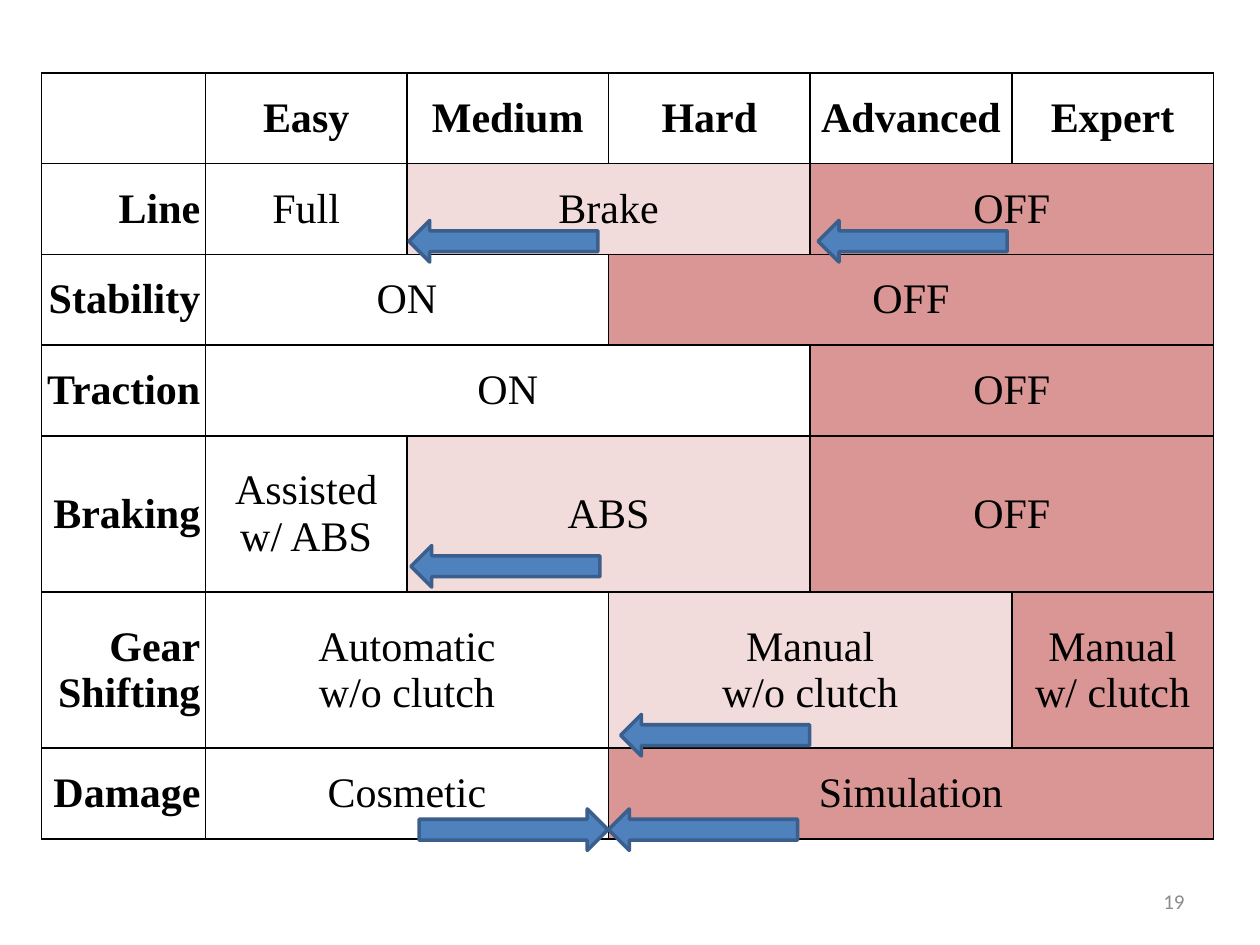
from lxml.etree import SubElement as Sub
from pptx import Presentation
from pptx.dml.color import RGBColor
from pptx.enum.shapes import MSO_SHAPE as Shape
from pptx.enum.text import MSO_ANCHOR as Anchor, PP_ALIGN as Align
from pptx.oxml.ns import qn
from pptx.util import Inches, Pt

WHITE = RGBColor(0xFF, 0xFF, 0xFF)
BLACK = RGBColor(0, 0, 0)
PINK = RGBColor(0xF2, 0xDC, 0xDB)
ROSE = RGBColor(0xD9, 0x96, 0x94)
BLUE = RGBColor(0x4F, 0x81, 0xBD)
NAVY = RGBColor(0x3A, 0x5F, 0x8C)
GRAY = RGBColor(0x8C, 0x8C, 0x8C)

WIDE, HIGH = 10, 7.5
COLS = [1.3] + [1.6] * 5
ROWS = [0.72] * 4 + [1.24] * 2 + [0.72]
GRID = (0.33, 0.58, sum(COLS), sum(ROWS))
PAGE = (0.717 * WIDE, 0.927 * HIGH, 0.233 * WIDE, 0.053 * HIGH)
ARROW = (1.5, 0.33)

LEVELS = ["Easy", "Medium", "Hard", "Advanced", "Expert"]
AIDS = [
    ("Line", [("Full", 1, WHITE), ("Brake", 2, PINK), ("OFF", 2, ROSE)]),
    ("Stability", [("ON", 2, WHITE), ("OFF", 3, ROSE)]),
    ("Traction", [("ON", 3, WHITE), ("OFF", 2, ROSE)]),
    ("Braking", [("Assisted\nw/ ABS", 1, WHITE), ("ABS", 2, PINK),
                 ("OFF", 2, ROSE)]),
    ("Gear\nShifting", [("Automatic\nw/o clutch", 2, WHITE),
                        ("Manual\nw/o clutch", 2, PINK),
                        ("Manual\nw/ clutch", 1, ROSE)]),
    ("Damage", [("Cosmetic", 2, WHITE), ("Simulation", 3, ROSE)]),
]
MOVES = [
    (Shape.LEFT_ARROW, 1.01, 1, 0.06),
    (Shape.LEFT_ARROW, 3.04, 1, 0.06),
    (Shape.LEFT_ARROW, 1.02, 4, -0.04),
    (Shape.LEFT_ARROW, 2.06, 5, 0.06),
    (Shape.RIGHT_ARROW, 1.06, 6, 0.09),
    (Shape.LEFT_ARROW, 2, 6, 0.09),
]


def inch(box):
    return [Inches(size) for size in box]


def style(frame, align, font, size, color, bold=False):
    for para in frame.paragraphs:
        para.alignment = align
        for run in para.runs:
            run.font.name = font
            run.font.size = Pt(size)
            run.font.bold = bold
            run.font.color.rgb = color


def border(cell):
    props = cell._tc.get_or_add_tcPr()
    for spot, side in enumerate(("lnL", "lnR", "lnT", "lnB")):
        line = props.makeelement(qn("a:" + side), {"w": str(Pt(1))})
        fill = Sub(line, qn("a:solidFill"))
        Sub(fill, qn("a:srgbClr"), val=str(BLACK))
        props.insert(spot, line)


def put(cell, text, fill, align=Align.CENTER, bold=False):
    cell.text_frame.text = text
    cell.vertical_anchor = Anchor.MIDDLE
    cell.margin_left = cell.margin_right = Inches(0.04)
    cell.margin_top = cell.margin_bottom = Inches(0.03)
    cell.fill.solid()
    cell.fill.fore_color.rgb = fill
    style(cell.text_frame, align, "Times New Roman", 24, BLACK, bold)


def add_grid(slide, box):
    table = slide.shapes.add_table(len(ROWS), len(COLS), *inch(box)).table
    table.first_row = table.horz_banding = False
    for col, width in zip(table.columns, COLS):
        col.width = Inches(width * box[2] / sum(COLS))
    for row, height in zip(table.rows, ROWS):
        row.height = Inches(height * box[3] / sum(ROWS))
    for col, text in enumerate([""] + LEVELS):
        put(table.cell(0, col), text, WHITE, bold=True)
    for row, (name, parts) in enumerate(AIDS, 1):
        put(table.cell(row, 0), name, WHITE, Align.RIGHT, True)
        col = 1
        for text, span, fill in parts:
            cell = table.cell(row, col)
            if span > 1:
                cell.merge(table.cell(row, col + span - 1))
            put(cell, text, fill)
            col += span
    for cell in table.iter_cells():
        border(cell)


def add_moves(slide, box):
    left, top = box[:2]
    width, height = ARROW
    for kind, col, row, drop in MOVES:
        x = left + COLS[0] + col * COLS[1]
        y = top + sum(ROWS[:row + 1]) + drop - height
        arrow = slide.shapes.add_shape(kind, *inch((x, y, width, height)))
        arrow.shadow.inherit = False
        arrow.fill.solid()
        arrow.fill.fore_color.rgb = BLUE
        arrow.line.color.rgb = NAVY
        arrow.line.width = Pt(2)


def add_page(slide, box):
    frame = slide.shapes.add_textbox(*inch(box)).text_frame
    frame.word_wrap = True
    frame.vertical_anchor = Anchor.MIDDLE
    frame.text = "19"
    style(frame, Align.RIGHT, "Calibri", 12, GRAY)


def main():
    deck = Presentation()
    deck.slide_width, deck.slide_height = inch((WIDE, HIGH))
    slide = deck.slides.add_slide(deck.slide_layouts[6])
    add_page(slide, PAGE)
    add_grid(slide, GRID)
    add_moves(slide, GRID)
    deck.save("out.pptx")


if __name__ == "__main__":
    main()
